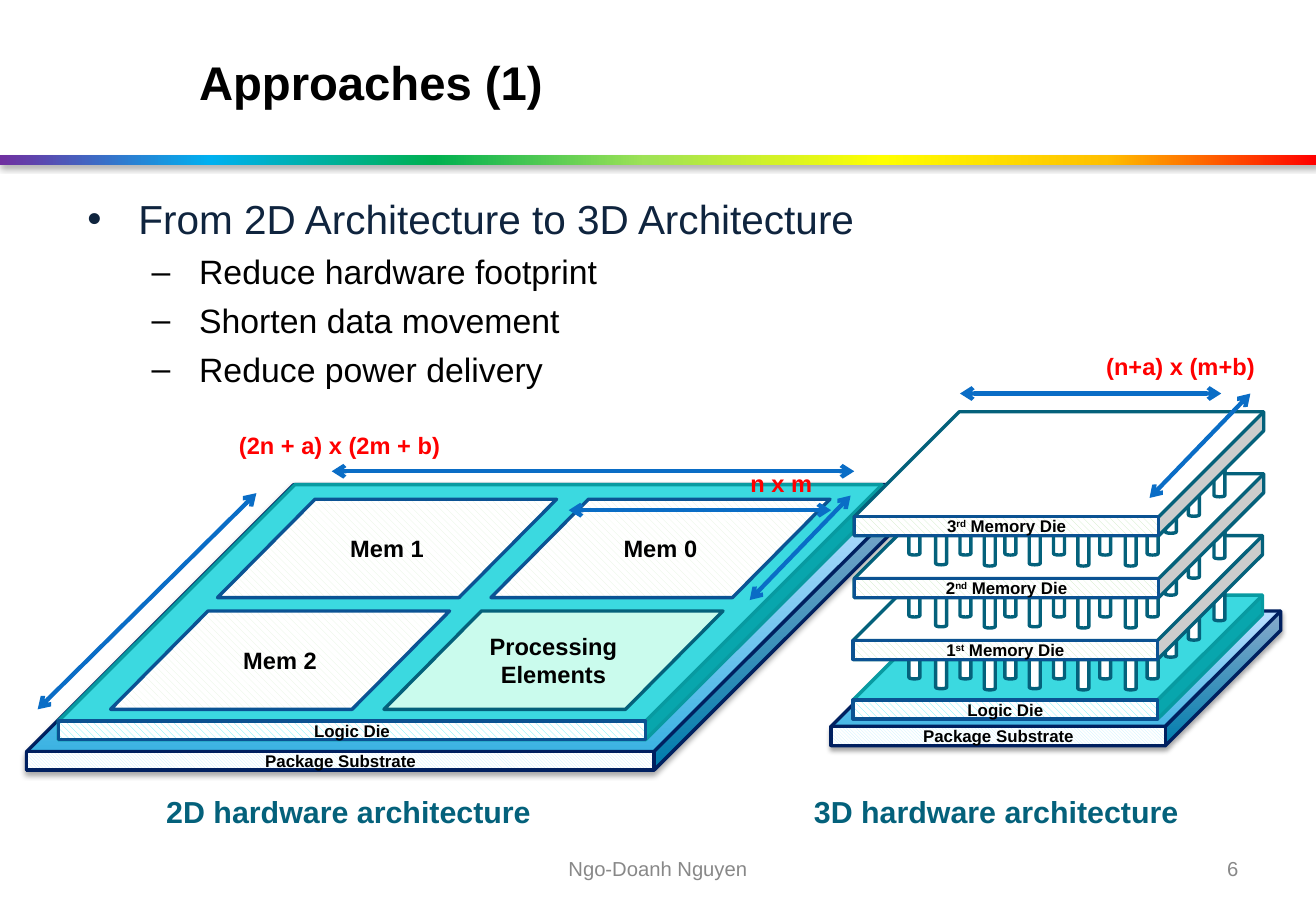
"""Build the slide comparing the 2D and 3D hardware architectures."""
import pptx
import pptx.dml.color
import pptx.enum.dml
import pptx.enum.shapes
import pptx.enum.text
import pptx.oxml
import pptx.oxml.ns
import pptx.util

Inches, Pt = pptx.util.Inches, pptx.util.Pt
RGB = pptx.dml.color.RGBColor.from_string
SHAPE = pptx.enum.shapes.MSO_SHAPE
PATTERN = pptx.enum.dml.MSO_PATTERN
ALIGN = pptx.enum.text.PP_ALIGN
ANCHOR = pptx.enum.text.MSO_ANCHOR
qn = pptx.oxml.ns.qn
NAMESPACE = pptx.oxml.ns.nsdecls("a")

COLORS = {
    "black": "000000", "white": "FFFFFF", "gray": "888888", "red": "FF0000",
    "navy": "0F243E", "substrate": "002060", "substrate hatch": "C4EFFF",
    "logic": "0BD0D9", "logic edge": "089AA1", "logic hatch": "5EF0F7",
    "memory edge": "04617B", "die hatch": "CBEAC0", "front edge": "0B5292",
    "cell hatch": "E5F4E0", "cell edge": "0B5394", "processing": "CAFBED",
    "arrow": "0A6DC6",
}
SUBSTRATE_FADE = [(0, "009DD9"), (100, "ABD6FF")]
RAINBOW = [(0, "7030A0"), (16, "00B0F0"), (33, "00B050"), (49, "9EE256"),
           (67, "FFFF00"), (84, "FFC000"), (100, "FF0000")]

deck = pptx.Presentation()
deck.slide_width, deck.slide_height = Inches(10.83), Inches(7.5)
page = deck.slides.add_slide(deck.slide_layouts[6])


def draw(kind, bounds, fill, edge=None, angle=90, adjust=None):
    """Add a shape; a list fill is a gradient with shadow, a tuple a hatch."""
    shape = page.shapes.add_shape(kind, *map(Inches, bounds))
    shape.shadow.inherit = False
    if adjust is not None:
        shape.adjustments[0] = adjust
    if isinstance(fill, list):
        shape.fill.gradient()
        shape.fill.gradient_angle = angle
        properties = shape._element.spPr
        stops = properties.find(qn("a:gradFill")).find(qn("a:gsLst"))
        for stop in list(stops):
            stops.remove(stop)
        for position, color in fill:
            stops.append(pptx.oxml.parse_xml(
                f'<a:gs {NAMESPACE} pos="{position * 1000}"><a:srgbClr val="{color}"/></a:gs>'))
        properties.find(qn("a:effectLst")).append(pptx.oxml.parse_xml(
            f'<a:outerShdw {NAMESPACE} blurRad="{Pt(3.1)}" dist="{Pt(1.8)}" dir="5400000" '
            'rotWithShape="0"><a:srgbClr val="000000"><a:alpha val="35000"/></a:srgbClr></a:outerShdw>'))
    elif isinstance(fill, tuple):
        shape.fill.patterned()
        shape.fill.pattern = fill[0]
        shape.fill.fore_color.rgb = RGB(COLORS[fill[1]])
        shape.fill.back_color.rgb = RGB(COLORS["white"])
    else:
        shape.fill.solid()
        shape.fill.fore_color.rgb = RGB(COLORS[fill])
    if edge:
        shape.line.color.rgb = RGB(COLORS[edge])
        shape.line.width = Pt(2)
    else:
        shape.line.fill.background()
    return shape


def write(box, text, size, color="black", bold=True, align=ALIGN.CENTER, wrap=True):
    """Fill a box with one paragraph; a part between bars is superscript."""
    frame = box.text_frame
    frame.word_wrap = wrap
    frame.vertical_anchor = ANCHOR.MIDDLE
    paragraph = frame.paragraphs[0]
    paragraph.alignment = align
    for index, piece in enumerate(text.split("|")):
        span = paragraph.add_run()
        span.text = piece
        span.font.name, span.font.size, span.font.bold = "Arial", Pt(size), bold
        span.font.color.rgb = RGB(COLORS[color])
        if index == 1:
            span.font._element.set("baseline", "30000")


draw(SHAPE.RECTANGLE, (0, 1.28, 10.83, 0.08), RAINBOW, angle=0)

for bounds, text, size, color, bold, align, wrap in [
    ((1.54, 0.17, 8.76, 1), "Approaches (1)", 28, "black", True, ALIGN.LEFT, True),
    ((3.7, 6.95, 3.43, 0.4), "Ngo-Doanh Nguyen", 12, "gray", False, ALIGN.CENTER, True),
    ((7.76, 6.95, 2.53, 0.4), "6", 12, "gray", False, ALIGN.RIGHT, True),
    ((1.27, 6.48, 3.83, 0.4), "2D hardware architecture", 18, "memory edge", True, ALIGN.LEFT, False),
    ((6.6, 6.48, 3.83, 0.4), "3D hardware architecture", 18, "memory edge", True, ALIGN.LEFT, False),
]:
    write(page.shapes.add_textbox(*map(Inches, bounds)), text, size, color, bold, align, wrap)

points = ["From 2D Architecture to 3D Architecture", "Reduce hardware footprint",
          "Shorten data movement", "Reduce power delivery"]
body = page.shapes.add_textbox(Inches(0.54), Inches(1.55), Inches(9.75), Inches(2))
body.text_frame.word_wrap = True
body.text_frame.text = "\n".join(points)
for index, paragraph in enumerate(body.text_frame.paragraphs):
    margin, indent, mark, size, color = (
        (1, -0.39, "–", 20, "black") if index else (0.5, -0.42, "•", 24, "navy"))
    settings = paragraph._p.get_or_add_pPr()
    settings.set("marL", str(Inches(margin)))
    settings.set("indent", str(Inches(indent)))
    settings.append(pptx.oxml.parse_xml(f'<a:buFont {NAMESPACE} typeface="Arial"/>'))
    settings.append(pptx.oxml.parse_xml(f'<a:buChar {NAMESPACE} char="{mark}"/>'))
    if index:
        paragraph.level = 1
        paragraph.space_before = Pt(5)
    for span in paragraph.runs:
        span.font.name, span.font.size = "Arial", Pt(size)
        span.font.color.rgb = RGB(COLORS[color])

substrate_style = (SUBSTRATE_FADE, "substrate",
                   (PATTERN.DARK_DOWNWARD_DIAGONAL, "substrate hatch"), "substrate")
logic_style = ("logic", "logic edge", (PATTERN.WIDE_DOWNWARD_DIAGONAL, "logic hatch"), "front edge")
memory_style = ("white", "memory edge", (PATTERN.WIDE_DOWNWARD_DIAGONAL, "die hatch"), "front edge")
slabs = [
    ("Package Substrate", (0.22, 3.99, 7.36, 2.35), 0.935, substrate_style),
    ("Logic Die", (0.48, 3.99, 6.78, 2.1), 0.927, logic_style),
    ("Package Substrate", (6.84, 5.03, 3.7, 1.11), 0.856, substrate_style),
    ("Logic Die", (7.02, 4.9, 3.37, 1.02), 0.847, logic_style),
    ("1|st| Memory Die", (7.02, 4.41, 3.37, 1.02), 0.847, memory_style),
    ("2|nd| Memory Die", (7.03, 3.9, 3.37, 1.02), 0.847, memory_style),
    ("3|rd| Memory Die", (7.03, 3.39, 3.37, 1.02), 0.847, memory_style),
]
vias = [(8.1, 4.56, 5.68), (8.27, 4.82, 5.59), (7.9, 4.83, 5.59), (7.7, 4.75, 5.67),
        (7.48, 4.83, 5.59), (8.87, 4.56, 5.68), (9.05, 4.82, 5.59), (8.67, 4.83, 5.59),
        (8.47, 4.75, 5.67), (9.26, 4.56, 5.68), (9.44, 4.82, 5.59), (9.59, 4.29, 5.41),
        (9.78, 4.15, 5.27), (9.99, 3.99, 5.11)]
for label, (left, top, width, height), depth, (fill, edge, front_fill, front_edge) in slabs:
    if "Memory" in label:
        rise = 4.41 - top
        for via_left, via_top, via_bottom in vias:
            start = max(via_top - rise, 3.5)
            draw(SHAPE.CAN, (via_left, start, 0.09, via_bottom - rise - start), "white", "memory edge")
    draw(SHAPE.CUBE, (left, top, width, height), fill, edge, adjust=depth)
    shift = depth * height
    front = draw(SHAPE.RECTANGLE, (left, top + shift, width - shift, height - shift),
                 front_fill, front_edge)
    write(front, label, 10)

cell_hatch = (PATTERN.WIDE_DOWNWARD_DIAGONAL, "cell hatch")
for index, label in enumerate(["Mem 1", "Mem 0", "Mem 2", "Processing Elements"]):
    row, column = divmod(index, 2)
    fill, edge = ("processing", "memory edge") if index == 3 else (cell_hatch, "cell edge")
    cell = draw(SHAPE.PARALLELOGRAM, (1.79 + 2.25 * column - 0.88 * row, 4.11 + 0.92 * row, 2.79, 0.81),
                fill, edge, adjust=0.991)
    write(cell, label, 14)

for text, left, top, width in [("n x m", 6.03, 3.81, 0.8), ("(n+a) x (m+b)", 8.84, 2.84, 1.75),
                               ("(2n + a) x (2m + b)", 1.65, 3.49, 2.29)]:
    box = page.shapes.add_textbox(Inches(left), Inches(top), Inches(width), Inches(0.34))
    write(box, text, 14, "red", wrap=False)

for ends in [(2.11, 4.06, 0.31, 5.84), (7.03, 3.88, 2.73, 3.88), (10.29, 3.24, 9.46, 4.1),
             (10.05, 3.24, 7.9, 3.24), (7, 4.08, 6.17, 4.94), (6.84, 4.2, 4.68, 4.2)]:
    arrow = page.shapes.add_connector(pptx.enum.shapes.MSO_CONNECTOR.STRAIGHT, *map(Inches, ends))
    arrow.line.color.rgb = RGB(COLORS["arrow"])
    arrow.line.width = Pt(2.5)
    for end in ("headEnd", "tailEnd"):
        arrow.line._ln.append(pptx.oxml.parse_xml(f'<a:{end} {NAMESPACE} type="arrow"/>'))
    arrow._element.spPr.append(pptx.oxml.parse_xml(f"<a:effectLst {NAMESPACE}/>"))

deck.save("out.pptx")
